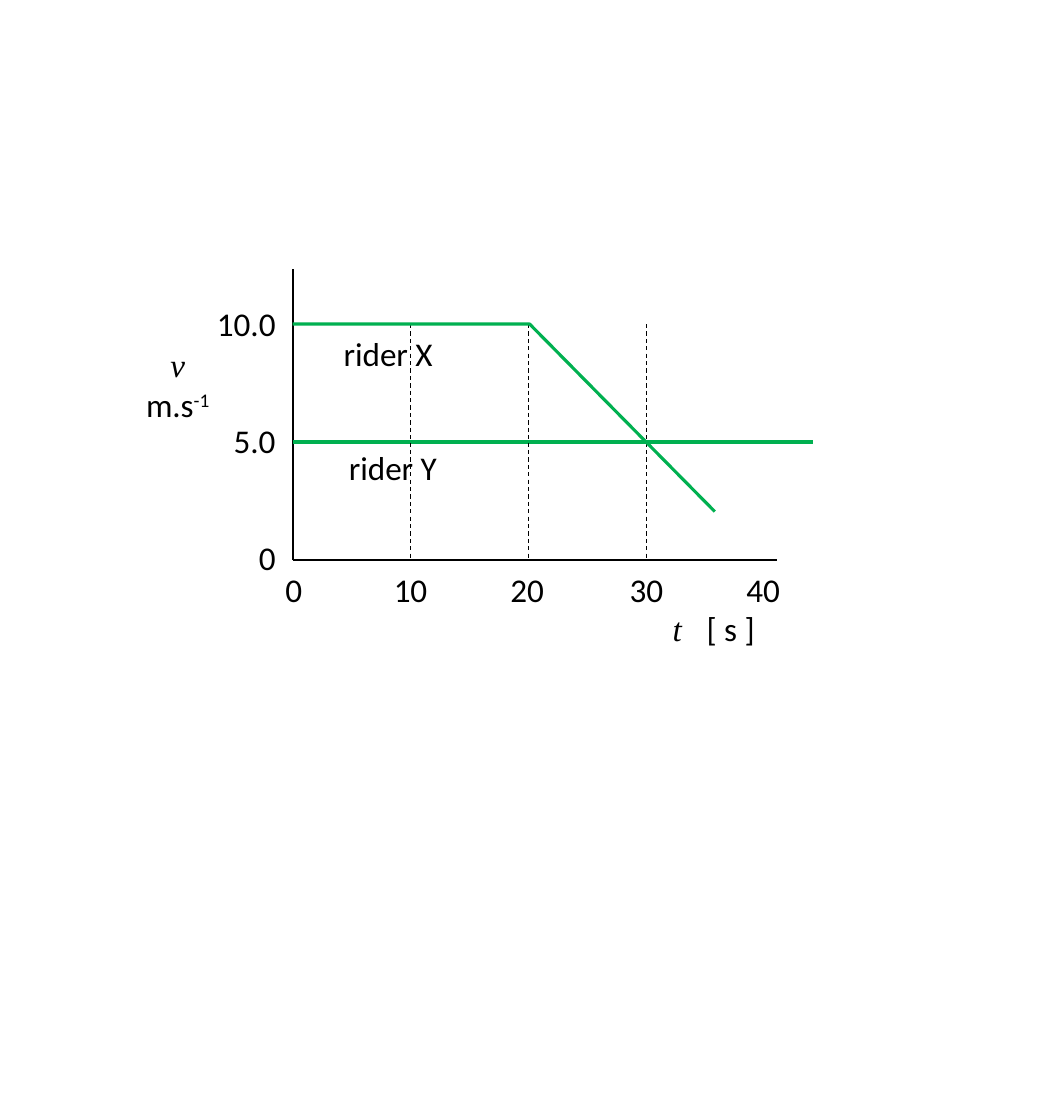
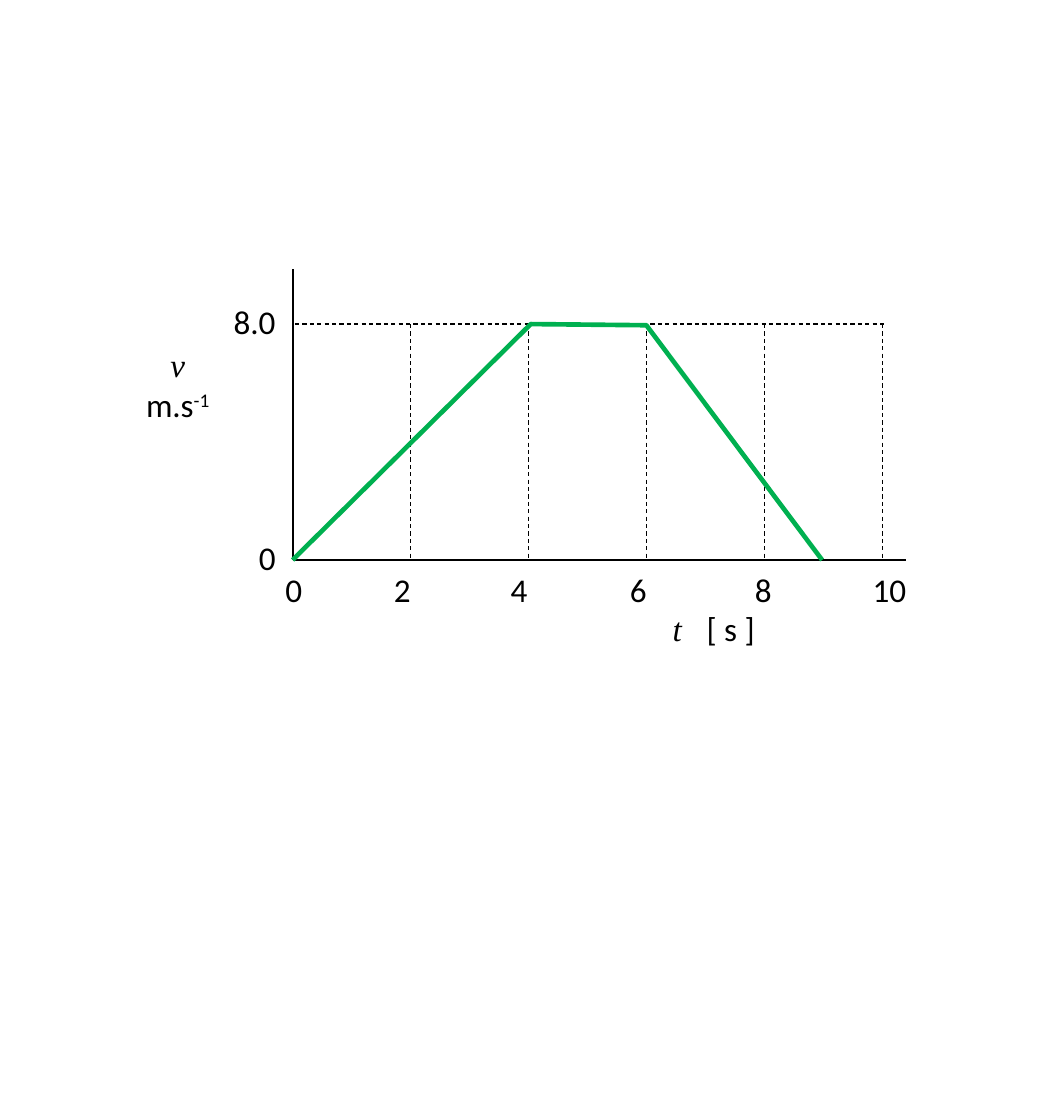
from dataclasses import dataclass

from lxml.etree import SubElement
from pptx import Presentation
from pptx.dml.color import RGBColor
from pptx.enum.dml import MSO_LINE_DASH_STYLE as Dash
from pptx.enum.shapes import MSO_CONNECTOR_TYPE as Link
from pptx.enum.text import MSO_AUTO_SIZE as Fit, PP_ALIGN as Align
from pptx.oxml.ns import qn
from pptx.util import Cm, Inches, Pt

BLACK = RGBColor(0x00, 0x00, 0x00)
GREEN = RGBColor(0x00, 0xB0, 0x50)
SANS, SERIF = "Calibri", "Times New Roman"

# Graph grid: origin in inches, one cell is one column by one row
LEFT, BASE, CELL = 1.96, 3.75, 0.79
AXIS = 2.47   # height of the v axis in rows
TOP = 2       # row where the dashed guides end
HIGH = 0.37   # height of a line of text in inches

Point = tuple[float, float]


@dataclass(frozen=True)
class Run:
    text: str
    face: str = SANS
    raised: bool = False
    gap: float = 0  # extra letter spacing in points


@dataclass(frozen=True)
class Label:
    text: str
    col: float
    row: float
    wide: float = 0.81


@dataclass(frozen=True)
class Graph:
    span: float               # length of the t axis in columns
    guides: int               # number of vertical guides
    times: dict[str, float]   # tick text to column
    speeds: dict[str, float]  # tick text to row
    curve: list[Point]
    weight: float
    level: tuple[Point, Point]
    dashed: bool
    riders: tuple[Label, ...] = ()


UNIT_T = [[Run("t", SERIF), Run(" ", SERIF, gap=8), Run("[ s ]")]]
UNIT_V = [[Run("v", SERIF)], [Run("m.s"), Run("-1", raised=True)]]

GRAPHS = [
    Graph(span=4.11, guides=3,
          times={"0": 0.01, "10": 1, "20": 1.99, "30": 3, "40": 3.99},
          speeds={"0": 0.02, "5.0": 1.01, "10.0": 2},
          curve=[(0, 2), (2.01, 2), (3.58, 0.41)], weight=1.5,
          level=((0, 1), (4.41, 1)), dashed=False,
          riders=(Label("rider X", 0.81, 1.75),
                  Label("rider Y", 0.85, 0.78))),
    Graph(span=5.2, guides=5,
          times={"0": 0.01, "2": 0.93, "4": 1.92, "6": 2.93, "8": 3.99,
                 "10": 5.06},
          speeds={"0": 0.02, "8.0": 2.02},
          curve=[(0, 0), (2.02, 2), (3, 1.99), (4.49, 0)], weight=2.25,
          level=((0.02, 2), (5.02, 2)), dashed=True),
]


def place(spot: Point) -> tuple[int, int]:
    """Turn a column and row into slide lengths."""
    return Inches(LEFT + spot[0] * CELL), Inches(BASE - spot[1] * CELL)


def width(text: str) -> float:
    """Box width of a tick label in inches."""
    return 0.21 + sum(0.06 if sign == "." else 0.11 for sign in text)


def rule(slide, start: Point, end: Point, color: RGBColor = BLACK,
         weight: float = 1, dashed: bool = False) -> None:
    link = slide.shapes.add_connector(Link.STRAIGHT, *place(start), *place(end))
    link.line.color.rgb = color
    link.line.width = Pt(weight)
    if dashed:
        link.line.dash_style = Dash.DASH
    SubElement(link._element.spPr, qn("a:effectLst"))


def trace(slide, spots: list[Point], weight: float) -> None:
    first, *rest = [place(spot) for spot in spots]
    pen = slide.shapes.build_freeform(*first)
    pen.add_line_segments(rest, close=False)
    shape = pen.convert_to_shape()
    shape.shadow.inherit = False
    shape.fill.background()
    shape.line.color.rgb = GREEN
    shape.line.width = Pt(weight)


def write(slide, lines: list[list[Run]], x: float, y: float,
          wide: float, high: float = HIGH) -> None:
    """Write lines of runs in a box centred on x and y, in inches."""
    box = slide.shapes.add_textbox(Inches(x - wide / 2), Inches(y - high / 2),
                                   Inches(wide), Inches(high))
    frame = box.text_frame
    frame.word_wrap = False
    frame.auto_size = Fit.SHAPE_TO_FIT_TEXT
    for n, runs in enumerate(lines):
        para = frame.add_paragraph() if n else frame.paragraphs[0]
        para.alignment = Align.CENTER
        para.font.name = SANS
        para.font.size = Pt(16)
        para.font.color.rgb = BLACK
        for item in runs:
            run = para.add_run()
            run.text = item.text
            if item.face != SANS:
                run.font.name = item.face
                run.font.italic = True
            props = run._r.get_or_add_rPr()
            if item.raised:
                props.set("baseline", "30000")
            if item.gap:
                props.set("spc", str(round(item.gap * 100)))


def mark(slide, label: Label) -> None:
    write(slide, [[Run(label.text)]], LEFT + label.col * CELL,
          BASE - label.row * CELL, label.wide)


def draw(slide, graph: Graph) -> None:
    # Axes and level line
    rule(slide, (0, 0), (graph.span, 0))
    rule(slide, (0, 0), (0, AXIS))
    if graph.dashed:
        rule(slide, *graph.level, weight=0.5, dashed=True)
    else:
        rule(slide, *graph.level, color=GREEN, weight=graph.weight)

    # Tick labels: times below the axis, speeds ending at it
    for text, col in graph.times.items():
        write(slide, [[Run(text)]], LEFT + col * CELL, BASE + 0.2, width(text))
    for text, row in graph.speeds.items():
        wide = width(text)
        write(slide, [[Run(text)]], LEFT - 0.01 - wide / 2,
              BASE - row * CELL, wide)

    # Rider names and axis units
    for label in graph.riders:
        mark(slide, label)
    write(slide, UNIT_T, 4.78, 4.21, 0.78)
    write(slide, UNIT_V, 1.19, 2.58, 0.65, 0.64)

    # Guides and curve
    for col in range(1, graph.guides + 1):
        rule(slide, (col, TOP), (col, 0), weight=0.5, dashed=True)
    trace(slide, graph.curve, graph.weight)


deck = Presentation()
deck.slide_width, deck.slide_height = Cm(18), Cm(19.05)
blank = deck.slide_layouts[6]
for graph in GRAPHS:
    draw(deck.slides.add_slide(blank), graph)
deck.save("out.pptx")
